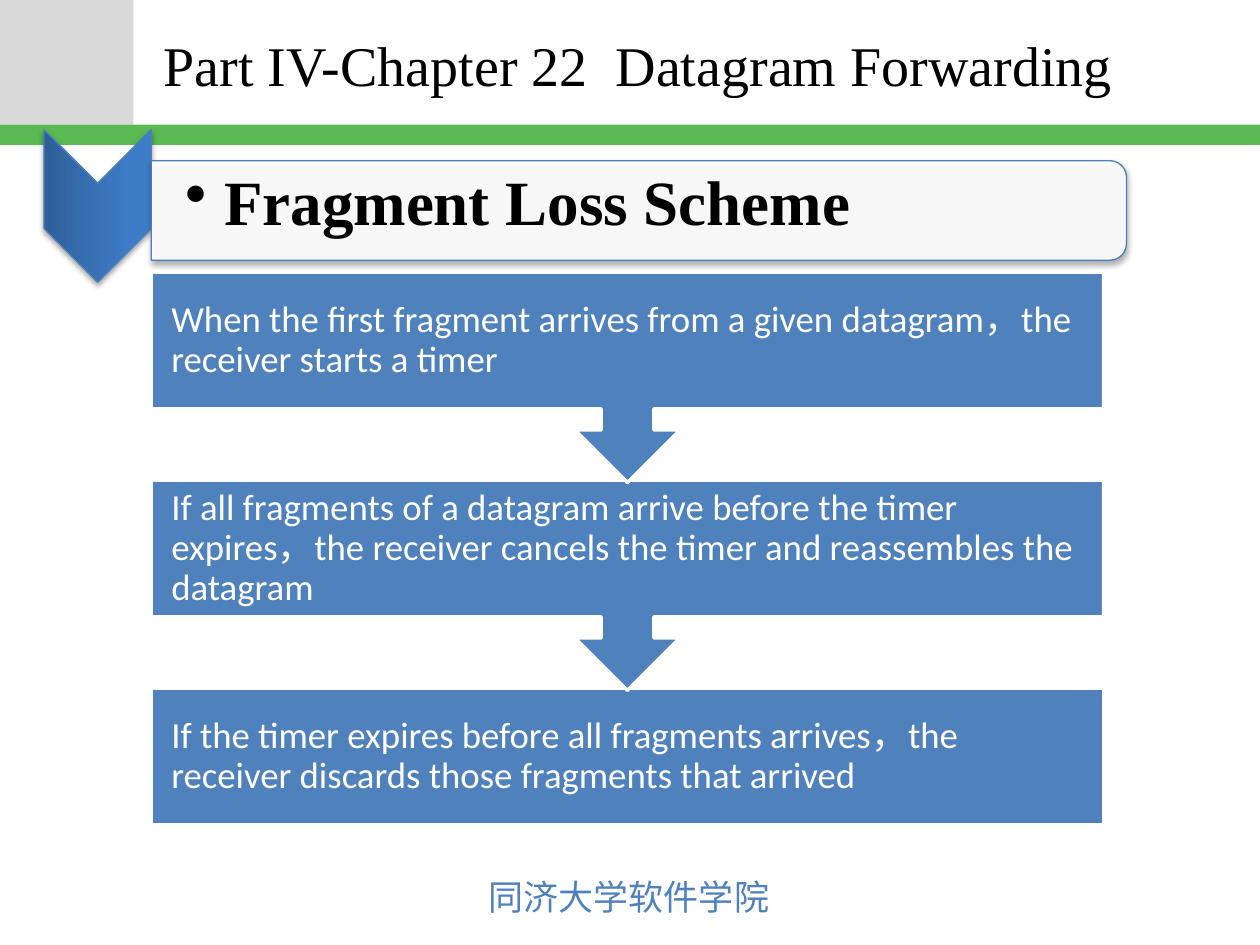
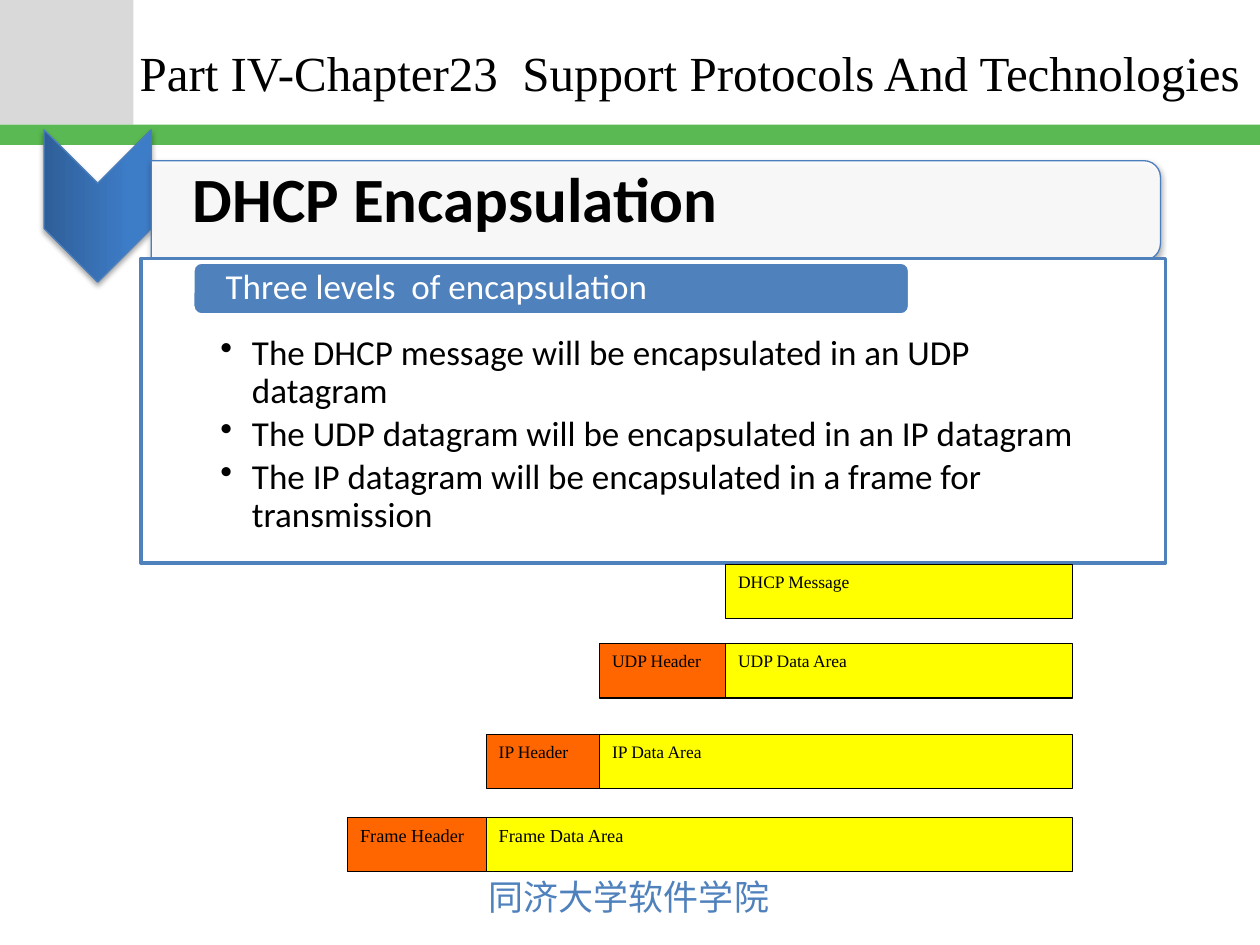
from dataclasses import dataclass

from lxml import etree
from pptx import Presentation
from pptx.dml.color import RGBColor
from pptx.enum.shapes import MSO_SHAPE
from pptx.enum.text import MSO_ANCHOR, PP_ALIGN
from pptx.oxml import parse_xml
from pptx.oxml.ns import qn
from pptx.util import Inches, Pt

RECTANGLE = MSO_SHAPE.RECTANGLE
ROUNDED = MSO_SHAPE.ROUNDED_RECTANGLE
CHEVRON = MSO_SHAPE.CHEVRON
ROUND_TOP = MSO_SHAPE.ROUND_2_SAME_RECTANGLE
CALLOUT = MSO_SHAPE.UP_ARROW_CALLOUT
TOP, MIDDLE = MSO_ANCHOR.TOP, MSO_ANCHOR.MIDDLE
LEFT = PP_ALIGN.LEFT


@dataclass(frozen=True)
class Theme:
    white: str = "FFFFFF"
    black: str = "000000"
    grey: str = "D9D9D9"
    green: str = "5AB953"
    blue: str = "4F81BD"
    outline: str = "4B7EBC"
    chevron_dark: str = "2F5F99"
    chevron_light: str = "3D7CC7"
    header: str = "FF6600"
    data: str = "FFFF00"
    serif: str = "Times New Roman"
    sans: str = "Calibri"
    chinese: str = "Noto Sans CJK JP"
    heading_size: float = 36
    step_size: float = 21
    body_size: float = 20
    thin: float = 0.75
    thick: float = 2


theme = Theme()
SHADOW = (
    '<a:outerShdw xmlns:a="http://schemas.openxmlformats.org/drawingml/2006/main" '
    'blurRad="40000" dist="23000" dir="5400000" rotWithShape="0">'
    '<a:srgbClr val="000000"><a:alpha val="35000"/></a:srgbClr></a:outerShdw>'
)


def add_box(slide, kind, at, fill, line=None, width=theme.thin, rotation=0, shadow=False):
    """Add a preset shape; kind None gives a plain text box."""
    lengths = [Inches(value) for value in at]
    if kind is None:
        return slide.shapes.add_textbox(*lengths)
    shape = slide.shapes.add_shape(kind, *lengths)
    shape.rotation = rotation
    shape.fill.solid()
    shape.fill.fore_color.rgb = RGBColor.from_string(fill)
    if line:
        shape.line.color.rgb = RGBColor.from_string(line)
        shape.line.width = Pt(width)
    else:
        shape.line.fill.background()
    shape.shadow.inherit = False
    if shadow:
        shape._element.spPr.find(qn("a:effectLst")).append(parse_xml(SHADOW))
    return shape


def write(shape, lines, size, font, color, bold=False, anchor=MIDDLE,
          insets=(0.1, 0.05, 0.1, 0.05), spacing=1.0, bullet_indent=0):
    """Fill a shape with left-aligned paragraphs; insets run left, top, right, bottom."""
    frame = shape.text_frame
    frame.word_wrap = True
    frame.vertical_anchor = anchor
    frame.margin_left, frame.margin_top, frame.margin_right, frame.margin_bottom = map(Inches, insets)
    for index, line in enumerate(lines):
        paragraph = frame.add_paragraph() if index else frame.paragraphs[0]
        paragraph.text = line
        paragraph.alignment = LEFT
        paragraph.line_spacing = spacing
        if bullet_indent:
            paragraph.space_after = Pt(size * 0.15)
            properties = paragraph._p.get_or_add_pPr()
            properties.set("marL", str(Inches(bullet_indent)))
            properties.set("indent", str(-Inches(bullet_indent)))
            etree.SubElement(properties, qn("a:buChar")).set("char", "•")
        paragraph.font.size = Pt(size)
        paragraph.font.name = font
        paragraph.font.bold = bold
        paragraph.font.color.rgb = RGBColor.from_string(color)


presentation = Presentation()
presentation.slide_width = Inches(10)
presentation.slide_height = Inches(7.5)

# Shared frame: title, green band, chevron, heading band and footer
slide_heads = [
    ("Part IV-Chapter 22  Datagram Forwarding", (1.2, 0.02, 8.6, 0.98), 32, 7.74,
     "Fragment Loss Scheme", (1.22, 1.27, 7.7, 0.71), theme.serif, 0.31),
    ("Part IV-Chapter23  Support Protocols And Technologies", (1.01, 0.08, 9.39, 0.98), 28, 8.01,
     "DHCP Encapsulation", (1.28, 1.21, 7.98, 0.71), theme.sans, 0),
]
BAND_LEFT, BAND_MIDDLE, BAND_HEIGHT = 1.2, 1.67, 0.79
for title, title_at, title_size, band_width, heading, heading_at, heading_font, indent in slide_heads:
    slide = presentation.slides.add_slide(presentation.slide_layouts[6])
    add_box(slide, RECTANGLE, (0, 0, 1.06, 0.99), theme.grey)
    add_box(slide, RECTANGLE, (0, 0.99, 10, 0.16), theme.green)

    footer = add_box(slide, None, (3.78, 6.9, 2.45, 0.44), None)
    write(footer, ["同济大学软件学院"], theme.body_size, theme.chinese, theme.blue, anchor=TOP)
    footer.text_frame.word_wrap = False
    footer_font = footer.text_frame.paragraphs[0]._p.pPr.find(qn("a:defRPr"))
    etree.SubElement(footer_font, qn("a:ea")).set("typeface", theme.chinese)

    title_box = add_box(slide, None, title_at, None)
    write(title_box, [title], title_size, theme.serif, theme.black)

    chevron = add_box(slide, CHEVRON, (0.17, 1.21, 1.21, 0.85), theme.chevron_light,
                      theme.outline, rotation=90, shadow=True)
    chevron.fill.gradient()
    chevron.fill.gradient_angle = 90
    dark_stop, light_stop = chevron.fill.gradient_stops
    dark_stop.color.rgb = RGBColor.from_string(theme.chevron_dark)
    light_stop.color.rgb = RGBColor.from_string(theme.chevron_light)
    dark_stop.position, light_stop.position = 0, 0.8

    # The band is a tall shape turned on its side, so its rounded top faces right
    band_at = (BAND_LEFT + (band_width - BAND_HEIGHT) / 2, BAND_MIDDLE - band_width / 2,
               BAND_HEIGHT, band_width)
    band = add_box(slide, ROUND_TOP, band_at, theme.white, theme.outline, rotation=90, shadow=True)
    band_color = band._element.spPr.find(qn("a:solidFill"))[0]
    etree.SubElement(band_color, qn("a:alpha")).set("val", "90000")
    heading_box = add_box(slide, None, heading_at, None)
    write(heading_box, [heading], theme.heading_size, heading_font, theme.black, bold=True,
          insets=(0.25, 0.02, 0.02, 0.02), spacing=0.9 if indent else 1.0, bullet_indent=indent)

loss_slide, dhcp_slide = presentation.slides

# Fragment loss: three steps, drawn from the last so each arrow lies over the next step
steps = [
    "When the first fragment arrives from a given datagram，the receiver starts a timer",
    "If all fragments of a datagram arrive before the timer expires，the receiver cancels the timer "
    "and reassembles the datagram",
    "If the timer expires before all fragments arrives，the receiver discards those fragments that arrived",
]
STEP_LEFT, STEP_TOP, STEP_WIDTH, STEP_HEIGHT, STEP_PITCH = 1.2, 2.16, 7.56, 1.09, 1.65
for index in reversed(range(len(steps))):
    top = STEP_TOP + index * STEP_PITCH
    step_at = (STEP_LEFT, top, STEP_WIDTH, STEP_HEIGHT)
    if index == len(steps) - 1:
        step_box = add_box(loss_slide, RECTANGLE, step_at, theme.blue, theme.white, theme.thick)
    else:
        add_box(loss_slide, CALLOUT, (STEP_LEFT, top, STEP_WIDTH, 1.67), theme.blue,
                theme.white, theme.thick, rotation=180)
        step_box = add_box(loss_slide, None, step_at, None)
    write(step_box, [steps[index]], theme.step_size, theme.sans, theme.white,
          insets=(0.16, 0.16, 0.16, 0.16), spacing=0.9)

# DHCP: the three levels of encapsulation
panel = add_box(dhcp_slide, RECTANGLE, (1.12, 2.05, 8.13, 2.42), theme.white, theme.blue, theme.thick)
levels = [
    "The DHCP message will be encapsulated in an UDP datagram",
    "The UDP datagram will be encapsulated in an IP datagram",
    "The IP datagram will be encapsulated in a frame for transmission",
]
write(panel, levels, theme.body_size, theme.sans, theme.black, anchor=TOP,
      insets=(0.63, 0.61, 0.63, 0.16), spacing=0.9, bullet_indent=0.25)
label = add_box(dhcp_slide, ROUNDED, (1.53, 2.08, 5.69, 0.42), theme.blue, theme.white, theme.thick)
write(label, ["Three levels  of encapsulation"], theme.body_size, theme.sans, theme.white,
      insets=(0.24, 0, 0.24, 0), spacing=0.9)

# Each data area starts where the header of the row above starts
packet_rows = [
    (4.48, None, 5.76, "DHCP Message", 10),
    (5.11, "UDP Header", 4.76, "UDP Data Area", 10),
    (5.83, "IP Header", 3.86, "IP Data Area", 10),
    (6.49, "Frame Header", 2.76, "Frame Data Area", 10.5),
]
PACKET_RIGHT, PACKET_HEIGHT = 8.51, 0.43
data_left = packet_rows[0][2]
for top, header, row_left, data, size in packet_rows:
    cells = [(data, data_left, PACKET_RIGHT, theme.data)]
    if header:
        cells.insert(0, (header, row_left, data_left, theme.header))
    for text, left, right, fill in cells:
        cell = add_box(dhcp_slide, RECTANGLE, (left, top, right - left, PACKET_HEIGHT), fill, theme.black)
        write(cell, [text], size, theme.serif, theme.black, anchor=TOP)
    data_left = row_left

presentation.save("out.pptx")
